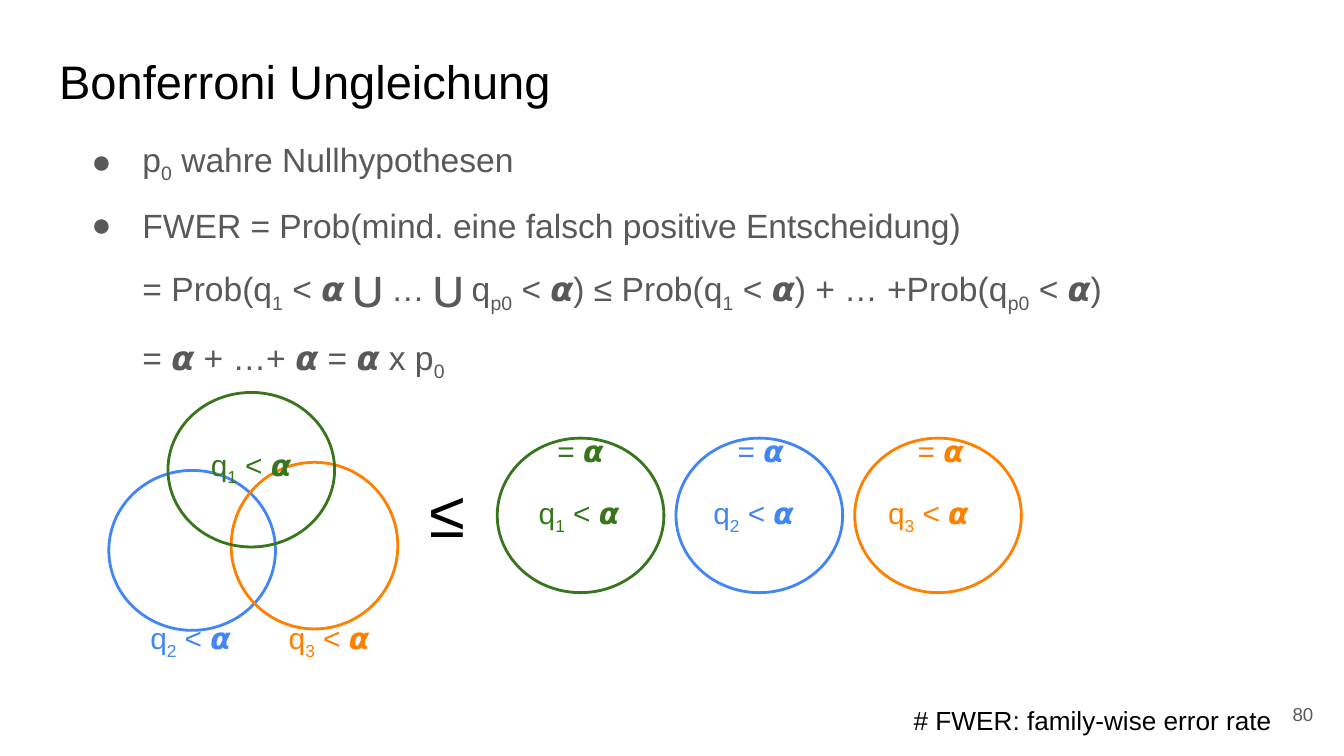
from lxml import etree
from pptx import Presentation
from pptx import util as u
from pptx.dml.color import RGBColor
from pptx.enum import shapes, text
from pptx.oxml.ns import qn

BLACK = RGBColor(0x00, 0x00, 0x00)
GREY = RGBColor(0x59, 0x59, 0x59)
GREEN = RGBColor(0x38, 0x76, 0x1D)
BLUE = RGBColor(0x42, 0x85, 0xF4)
ORANGE = RGBColor(0xFF, 0x7F, 0x00)

deck = Presentation()
deck.slide_width = u.Inches(10)
deck.slide_height = u.Inches(10 * 9 / 16)
page = deck.slides.add_slide(deck.slide_layouts[1])


def write(box, at, lines, size, color, spacing=1, after=0, grow=True,
          anchor=text.MSO_ANCHOR.TOP, align=text.PP_ALIGN.LEFT):
    box.left, box.top, box.width, box.height = [u.Inches(value) for value in at]
    frame = box.text_frame
    frame.word_wrap = True
    frame.auto_size = text.MSO_AUTO_SIZE.SHAPE_TO_FIT_TEXT if grow else text.MSO_AUTO_SIZE.NONE
    frame.vertical_anchor = anchor
    frame.margin_left = frame.margin_right = u.Inches(0.1)
    frame.margin_top = frame.margin_bottom = u.Inches(0.1)
    for index, line in enumerate(lines):
        para = frame.paragraphs[0] if index == 0 else frame.add_paragraph()
        para.alignment = align
        para.line_spacing = spacing
        para.space_before, para.space_after = u.Pt(0), u.Pt(after)
        for part, words in enumerate(line.split("|")):
            if not words:
                continue
            span = para.add_run()
            span.text = words
            span.font.name, span.font.size = "Arial", u.Pt(size)
            span.font.color.rgb = color
            if part % 2:
                span.font._element.set("baseline", "-25000")
    return frame


def add_circle(left, top, height, color):
    circle = page.shapes.add_shape(shapes.MSO_SHAPE.OVAL, u.Inches(left), u.Inches(top),
                                   u.Inches(1.24), u.Inches(height))
    circle.shadow.inherit = False
    circle.fill.background()
    circle.line.color.rgb = color
    circle.line.width = u.Pt(1.5)


title, body = page.placeholders
write(title, (0.34, 0.29, 9.32, 0.63), ["Bonferroni Ungleichung"], 25.2, BLACK, grow=False)

frame = write(body, (0.46, 0.92, 8.76, 1.87), [
    "p|0| wahre Nullhypothesen",
    "FWER = Prob(mind. eine falsch positive Entscheidung)",
    "= Prob(q|1| < 𝞪 ⋃ … ⋃ q|p0| < 𝞪) ≤ Prob(q|1| < 𝞪) + … +Prob(q|p0| < 𝞪)",
    "= 𝞪 + …+ 𝞪 = 𝞪 x p|0|",
], 18, GREY, spacing=1.5, anchor=text.MSO_ANCHOR.MIDDLE)
for index, para in enumerate(frame.paragraphs):
    props = para._p.get_or_add_pPr()
    props.set("marL", str(u.Inches(0.5)))
    if index < 2:
        props.set("indent", str(u.Inches(-0.38)))
        bullet_color = etree.SubElement(props, qn("a:buClr"))
        etree.SubElement(bullet_color, qn("a:srgbClr")).set("val", str(GREY))
        etree.SubElement(props, qn("a:buChar")).set("char", "●")
    else:
        props.set("indent", "0")
        etree.SubElement(props, qn("a:buNone"))

for left, top, height, color in [
    (0.81, 3.5, 1.19, BLUE),
    (1.72, 3.44, 1.24, ORANGE),
    (1.25, 2.92, 1.15, GREEN),
]:
    add_circle(left, top, height, color)

labels = [(1.47, 2.92, GREEN), (1.02, 4.21, BLUE), (2.05, 4.21, ORANGE)]
for index, (left, top, color) in enumerate(labels):
    event = f"q|{index + 1}| < 𝞪"
    add_circle(3.7 + 1.33 * index, 3.26, 1.15, color)
    for at, words in [
        ((left, top, 0.82, 0.47), event),
        ((3.91 + 1.3 * index, 3.28, 0.82, 0.47), event),
        ((4.05 + 1.34 * index, 2.85, 0.6, 0.47), "= 𝞪"),
    ]:
        write(page.shapes.add_textbox(0, 0, 0, 0), at, [words], 16, color, spacing=2, after=12)

write(page.shapes.add_textbox(0, 0, 0, 0), (3.1, 3.41, 0.46, 0.79), ["≤"], 35, BLACK)
write(page.shapes.add_textbox(0, 0, 0, 0), (6.7, 5.14, 2.87, 0.44),
      ["# FWER: family-wise error rate"], 14, BLACK, anchor=text.MSO_ANCHOR.MIDDLE)
write(page.shapes.add_textbox(0, 0, 0, 0), (9.27, 5.1, 0.6, 0.43), ["80"], 10, GREY,
      grow=False, anchor=text.MSO_ANCHOR.MIDDLE, align=text.PP_ALIGN.RIGHT)

deck.save("out.pptx")
